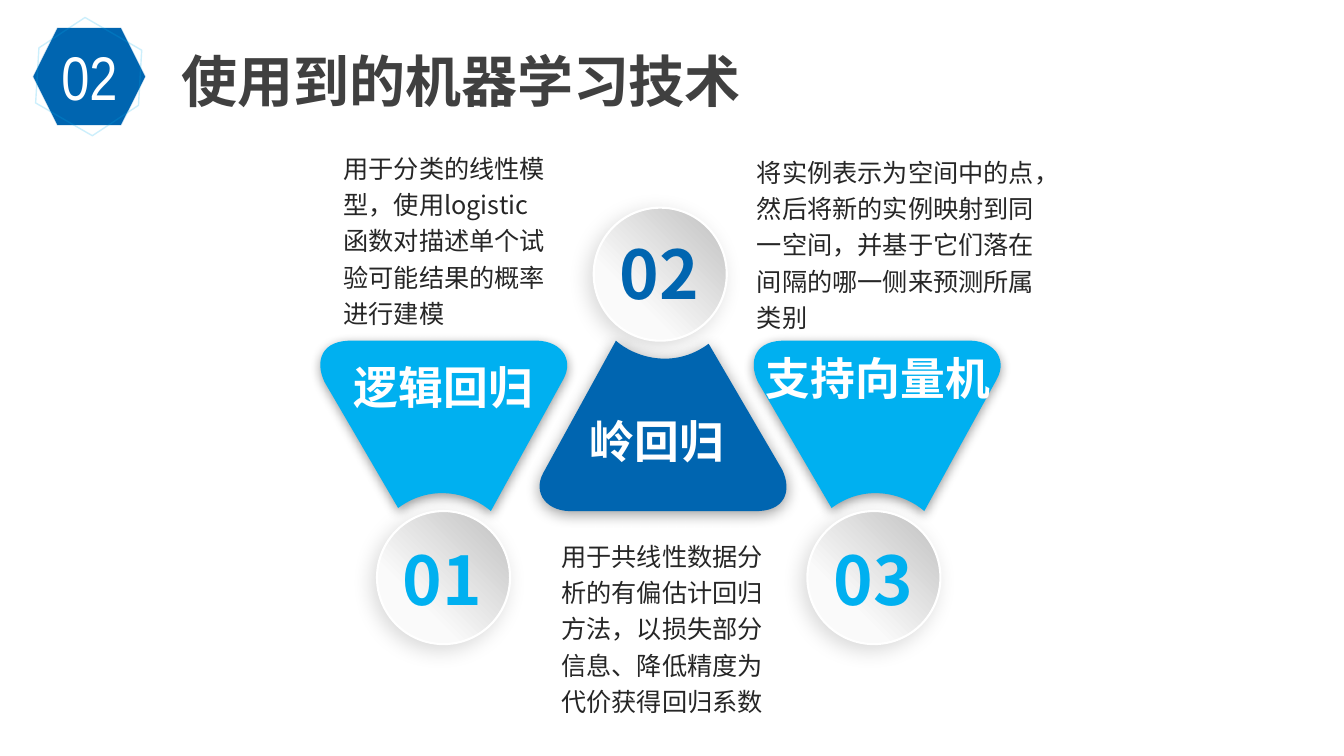
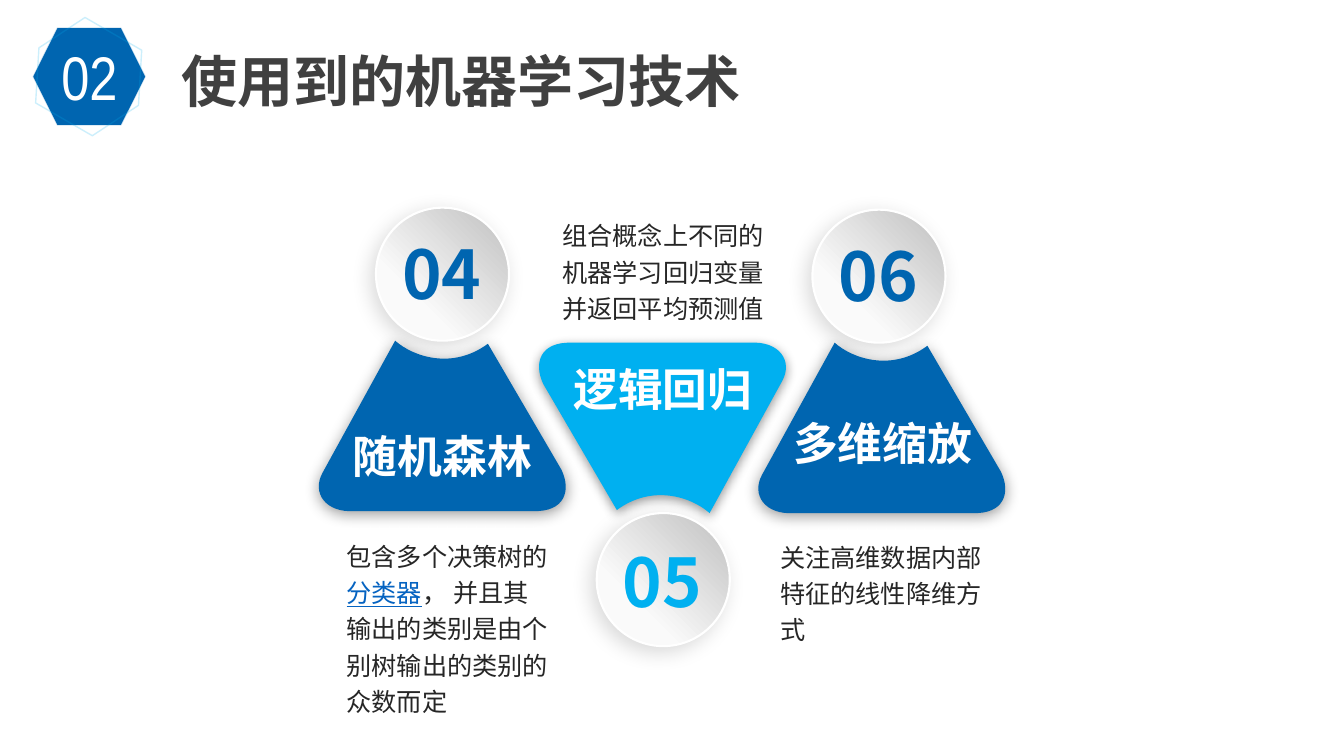
from lxml.etree import SubElement
from pptx import Presentation
from pptx.dml.color import RGBColor
from pptx.enum.shapes import MSO_SHAPE
from pptx.enum.text import MSO_ANCHOR, MSO_AUTO_SIZE, PP_ALIGN
from pptx.oxml.ns import qn
from pptx.util import Emu, Pt

PX = 9144
SLIDE_SIZE = Emu(12192000), Emu(6858000)
COLORS = {
    "deep": "0065B0",
    "bright": "00B0F0",
    "title": "404040",
    "body": "262626",
    "link": "0563C1",
    "white": "FFFFFF",
    "black": "000000",
    "silver": "BFBFBF",
    "pearl": "FAFAFA",
}
TITLE_FONT = "Noto Sans CJK SC"
TEXT_FONT = "Noto Sans CJK TC"
BADGE_FONT = "Arial Narrow"
WEDGE_WIDTH, WEDGE_HEIGHT = 245, 169
CIRCLE_SIZE = 132
WEDGE_OUTLINE = [
    ("moveTo", [(77, 166)]),
    ("lnTo", [(4, 41)]),
    ("cubicBezTo", [(-6, 20), (1, -1), (32, 0)]),
    ("lnTo", [(209, 0)]),
    ("cubicBezTo", [(238, -2), (252, 18), (241, 38)]),
    ("lnTo", [(169, 169)]),
    ("cubicBezTo", [(151, 153), (112, 140), (77, 166)]),
    ("close", []),
]

SLIDES = [
    {
        "techniques": [
            {"number": "01", "name": "逻辑回归", "up": False, "wedge": (318, 338),
             "circle_left": 374, "label": (341, 352)},
            {"number": "02", "name": "岭回归", "up": True, "wedge": (535, 338),
             "circle_left": 589, "label": (575, 406)},
            {"number": "03", "name": "支持向量机", "up": False, "wedge": (748, 338),
             "circle_left": 801, "label": (750, 343)},
        ],
        "notes": [
            ((331, 141, 223, 189),
             [("用于分类的线性模型，使用logistic函数对描述单个试验可能结果的概率进行建模", "body")]),
            ((547, 526, 223, 189),
             [("用于共线性数据分析的有偏估计回归方法，以损失部分信息、降低精度为代价获得回归系数", "body")]),
            ((741, 145, 315, 189),
             [("将实例表示为空间中的点，然后将新的实例映射到同一空间，并基于它们落在间隔的哪一侧来预测所属类别", "body")]),
        ],
    },
    {
        "techniques": [
            {"number": "04", "name": "随机森林", "up": True, "wedge": (316, 338),
             "circle_left": 373, "label": (340, 420)},
            {"number": "05", "name": "逻辑回归", "up": False, "wedge": (535, 340),
             "circle_left": 592, "label": (559, 354)},
            {"number": "06", "name": "多维缩放", "up": True, "wedge": (752, 340),
             "circle_left": 806, "label": (777, 408)},
        ],
        "notes": [
            ((334, 526, 223, 189),
             [("包含多个决策树的", "body"), ("分类器", "link"),
              ("， 并且其输出的类别是由个别树输出的类别的众数而定", "body")]),
            ((548, 208, 223, 116),
             [("组合概念上不同的机器学习回归变量并返回平均预测值", "body")]),
            ((764, 527, 223, 116),
             [("关注高维数据内部特征的线性降维方式", "body")]),
        ],
    },
]


def rgb(name):
    return RGBColor.from_string(COLORS[name])


def emu(*lengths):
    return [Emu(length * PX) for length in lengths]


def format_para(para, size, font, color, bold=False):
    para.alignment = PP_ALIGN.LEFT
    para.font.size = Pt(size)
    para.font.bold = bold
    para.font.color.rgb = rgb(color)
    para.font.name = font
    properties = para._p.get_or_add_pPr().find(qn("a:defRPr"))
    SubElement(properties, qn("a:ea"), typeface=font)


def add_box(page, place, wrap):
    box = page.shapes.add_textbox(*emu(*place))
    box.text_frame.word_wrap = wrap
    box.text_frame.auto_size = MSO_AUTO_SIZE.SHAPE_TO_FIT_TEXT
    return box.text_frame.paragraphs[0]


def add_text(page, place, text, size, font, color, bold=True, wrap=False):
    para = add_box(page, place, wrap)
    para.text = text
    format_para(para, size, font, color, bold)


def add_note(page, place, spans):
    para = add_box(page, place, True)
    para.line_spacing = 1.2
    format_para(para, 18, TEXT_FONT, "body")
    for text, color in spans:
        span = para.add_run()
        span.text = text
        if color == "link":
            span.font.color.rgb = rgb(color)
            span.font.underline = True


def set_alpha(color_element, percent):
    SubElement(color_element, qn("a:alpha"), val=str(percent * 1000))


def add_shadow(shape, alpha, blur, distance, angle):
    shape.shadow.inherit = False
    effects = shape._element.spPr.find(qn("a:effectLst"))
    shadow = SubElement(
        effects, qn("a:outerShdw"), blurRad=str(Pt(blur)), dist=str(Pt(distance)),
        dir=str(angle * 60000), algn="ctr", rotWithShape="0")
    set_alpha(SubElement(shadow, qn("a:srgbClr"), val=COLORS["black"]), alpha)


def add_circle(page, left, top):
    circle = page.shapes.add_shape(
        MSO_SHAPE.OVAL, *emu(left, top, CIRCLE_SIZE, CIRCLE_SIZE))
    circle.fill.gradient()
    circle.fill.gradient_angle = 225
    for stop, (name, position) in zip(
            circle.fill.gradient_stops, [("silver", 0), ("pearl", 0.7)]):
        stop.color.rgb = rgb(name)
        stop.position = position
    circle.line.color.rgb = rgb("white")
    circle.line.width = Pt(1.5)
    add_shadow(circle, 15, 15, 5, 135)


def draw_outline(shape, outline):
    figure = shape._element.spPr.find(".//" + qn("a:path"))
    for step in list(figure):
        figure.remove(step)
    for command, points in outline:
        step = SubElement(figure, qn("a:" + command))
        for x, y in points:
            SubElement(step, qn("a:pt"), x=str(x), y=str(y))


def add_wedge(page, left, top, up, color):
    builder = page.shapes.build_freeform(0, 0, scale=PX)
    builder.add_line_segments(
        [(WEDGE_WIDTH, 0), (WEDGE_WIDTH, WEDGE_HEIGHT), (0, WEDGE_HEIGHT)])
    wedge = builder.convert_to_shape(*emu(left, top))
    draw_outline(wedge, WEDGE_OUTLINE)
    wedge.rotation = 180 if up else 0
    wedge.fill.solid()
    wedge.fill.fore_color.rgb = rgb(color)
    wedge.line.fill.background()
    add_shadow(wedge, 40, 11 if up else 8, 2, 90)


def add_technique(page, number, name, up, wedge, circle_left, label):
    color = "deep" if up else "bright"
    left, top = wedge
    circle_top = top - CIRCLE_SIZE if up else top + WEDGE_HEIGHT
    number_top = circle_top + (20 if up else 22)
    add_circle(page, circle_left, circle_top)
    add_text(page, (circle_left + 16, number_top, 100, 91), number, 48,
             TEXT_FONT, color)
    add_wedge(page, left, top, up, color)
    add_text(page, (*label, 20 + 45 * len(name), 64), name, 32, TEXT_FONT, "white")


def add_hexagon(page, place, line_color):
    hexagon = page.shapes.add_shape(MSO_SHAPE.HEXAGON, *emu(*place))
    hexagon.shadow.inherit = False
    hexagon.fill.background()
    hexagon.line.width = Pt(1)
    hexagon.line.color.rgb = rgb(line_color)
    set_alpha(hexagon.line._ln.find(".//" + qn("a:srgbClr")), 20)
    return hexagon


def add_badge(page, number):
    solid = add_hexagon(page, (33, 28, 111, 96), "deep")
    solid.fill.solid()
    solid.fill.fore_color.rgb = rgb("deep")
    outline = add_hexagon(page, (31, 27, 114, 98), "bright")
    outline.rotation = 30
    add_text(page, (51, 34, 134, 84), number, 44, BADGE_FONT, "white", False, True)


def set_title(page, text):
    title = page.shapes.title
    title.left, title.top, title.width, title.height = emu(170, 41, 581, 77)
    frame = title.text_frame
    frame.word_wrap = False
    frame.auto_size = MSO_AUTO_SIZE.SHAPE_TO_FIT_TEXT
    frame.vertical_anchor = MSO_ANCHOR.TOP
    para = frame.paragraphs[0]
    para.text = text
    format_para(para, 40, TITLE_FONT, "title", True)


def add_page(deck, techniques, notes):
    page = deck.slides.add_slide(deck.slide_layouts[5])
    set_title(page, "使用到的机器学习技术")
    for technique in techniques:
        add_technique(page, **technique)
    for place, spans in notes:
        add_note(page, place, spans)
    add_badge(page, "02")


def main():
    deck = Presentation()
    deck.slide_width, deck.slide_height = SLIDE_SIZE
    for content in SLIDES:
        add_page(deck, **content)
    deck.save("out.pptx")


if __name__ == "__main__":
    main()
